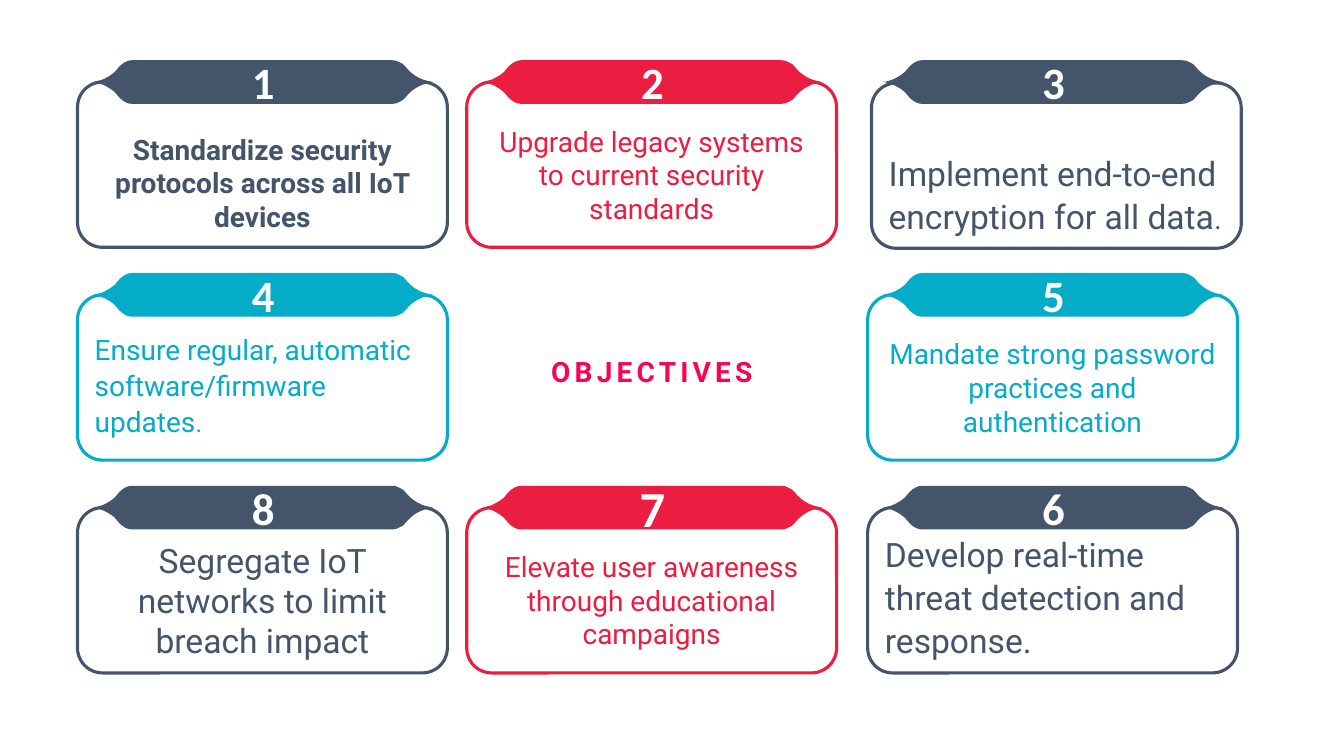
import lxml.etree
import pptx
import pptx.util
import pptx.dml.color
import pptx.enum.shapes
import pptx.enum.text
import pptx.oxml.ns

Pt = pptx.util.Pt
RGB = pptx.dml.color.RGBColor
ALIGN = pptx.enum.text.PP_ALIGN
ANCHOR = pptx.enum.text.MSO_ANCHOR
qn = pptx.oxml.ns.qn

SLATE = RGB(0x44, 0x54, 0x6A)
RED = RGB(0xEB, 0x1E, 0x42)
TEAL = RGB(0x05, 0xAC, 0xC7)
PINK = RGB(0xFC, 0x03, 0x50)
WHITE = RGB(0xFF, 0xFF, 0xFF)

# Grid of cards
COLS = (55.4, 333.4, 619.8)
TOP, STEP = 58.6, 152
WIDE, HIGH = 264.2, 118.1

# Upper edge of a banner, from left tip to right tip: lines and curves
TIP = (0, 15.6)
EDGE = (
    ((6, 14.6), (11, 12), (15, 8.6)),
    ((18.7, 4.3),),
    ((21.4, 1.7), (24.3, 0), (27.5, 0)),
    ((213, 0),),
    ((215.3, 0), (217, 0.4), (218.2, 1.3)),
    ((220.5, 2), (222, 3.4), (223, 4.8)),
    ((227.5, 10.5), (234, 14.5), (242.6, 15.6)),
)

# Number, column, row, colour, runs, centred, top and bottom inset, bold
CARDS = (
    (1, 0, 0, SLATE, [("Standardize security protocols across all IoT devices", 20)],
     True, (5, 5), True),
    (4, 0, 1, TEAL, [("Ensure regular, automatic software/firmware updates", 20), (".", 18)],
     False, (3.6, 10.8), False),
    (8, 0, 2, SLATE, [("Segregate IoT networks to limit breach impact", 24)],
     True, (3.6, 3.6), False),
    (2, 1, 0, RED, [("Upgrade legacy systems to current security standards", 20)],
     True, (3.6, 10.8), False),
    (7, 1, 2, RED, [("Elevate user awareness through educational campaigns", 20)],
     True, (3.6, 10.8), False),
    (3, 2, 0, SLATE, [("Implement end-to-end encryption for all data", 24), (".", 20)],
     False, (3.6, 3.6), False),
    (5, 2, 1, TEAL, [("Mandate strong password practices and authentication", 20)],
     True, (3.6, 10.8), False),
    (6, 2, 2, SLATE, [("Develop real-time threat detection and response.", 24)],
     False, (3.6, 3.6), False),
)
OPEN = (1, 3, 6, 8)
NUDGE = {3: (2.7, 0.7)}
LARGE = {7: 36}


def add_run(para, text, size, color, face="Roboto", bold=False):
    run = para.add_run()
    run.text = text
    font = run.font
    font.name, font.size, font.bold = face, Pt(size), bold
    font.color.rgb = color
    return run


def add_round(slide, left, top, wide, high, filled=True):
    kind = pptx.enum.shapes.MSO_SHAPE.ROUNDED_RECTANGLE
    shape = slide.shapes.add_shape(kind, Pt(left), Pt(top), Pt(wide), Pt(high))
    shape.shadow.inherit = False
    if filled:
        shape.fill.solid()
        shape.fill.fore_color.rgb = WHITE
    else:
        shape.fill.background()
    shape.line.fill.background()
    return shape


def add_card(slide, left, top, filled, color, runs, center, pads, bold):
    card = add_round(slide, left, top, WIDE, HIGH, filled)
    card.adjustments[0] = 0.151
    card.line.color.rgb = color
    card.line.width = Pt(2.25)
    frame = card.text_frame
    frame.word_wrap = True
    frame.vertical_anchor = ANCHOR.BOTTOM
    frame.margin_top, frame.margin_bottom = Pt(pads[0]), Pt(pads[1])
    para = frame.paragraphs[0]
    para.alignment = ALIGN.CENTER if center else ALIGN.LEFT
    if not center:
        para.line_spacing = 1.07
        para.space_after = Pt(8)
    for text, size in runs:
        add_run(para, text, size, color, bold=bold)


def outline():
    """Return the segments of the upper edge, then of its mirrored lower edge."""
    starts = [TIP] + [part[-1] for part in EDGE[:-1]]
    lower = []
    for start, part in reversed(list(zip(starts, EDGE))):
        back = part[-2::-1] + (start,) if len(part) > 1 else (start,)
        lower.append(tuple((x, 2 * TIP[1] - y) for x, y in back))
    return list(EDGE) + lower


def add_banner(slide, left, top, color, label, size):
    parts = outline()
    dots = [(Pt(x), Pt(y)) for part in parts for x, y in part]
    draft = slide.shapes.build_freeform(Pt(TIP[0]), Pt(TIP[1]))
    draft.add_line_segments(dots, close=True)
    banner = draft.convert_to_shape(Pt(left), Pt(top))
    # Join each three points of a curve into one Bezier segment
    lines = iter(list(banner._element.iter(qn("a:lnTo"))))
    for part in parts:
        group = [next(lines) for _ in part]
        if len(group) == 3:
            curve = lxml.etree.Element(qn("a:cubicBezTo"))
            group[0].addprevious(curve)
            for line in group:
                curve.append(line[0])
                line.getparent().remove(line)
    banner.shadow.inherit = False
    banner.fill.solid()
    banner.fill.fore_color.rgb = color
    banner.line.fill.background()
    frame = banner.text_frame
    frame.vertical_anchor = ANCHOR.MIDDLE
    para = frame.paragraphs[0]
    para.alignment = ALIGN.CENTER
    add_run(para, label, size, WHITE, "Calibri", True)


def set_title(slide, text):
    title = slide.shapes.title
    title.left, title.top = Pt(372.2), Pt(223.9)
    title.width, title.height = Pt(219.6), Pt(71.3)
    frame = title.text_frame
    frame.auto_size = pptx.enum.text.MSO_AUTO_SIZE.NONE
    frame.word_wrap = True
    frame.vertical_anchor = ANCHOR.MIDDLE
    frame.margin_left, frame.margin_top = Pt(21.5), Pt(14.6)
    para = frame.paragraphs[0]
    para.alignment = ALIGN.LEFT
    run = add_run(para, text, 20, PINK, bold=True)
    run.font._element.set("spc", "300")
    # Bring the heading in front of its plate
    slide.shapes._spTree.append(title._element)


def main():
    deck = pptx.Presentation()
    deck.slide_width, deck.slide_height = Pt(960), Pt(540)
    slide = deck.slides.add_slide(deck.slide_layouts[5])

    # Numbered cards
    for num, col, row, color, runs, center, pads, bold in CARDS:
        left, top = COLS[col], TOP + row * STEP
        dx, dy = NUDGE.get(num, (0, 0))
        add_card(slide, left + dx, top + dy, num not in OPEN,
                 color, runs, center, pads, bold)
        add_banner(slide, left + 11.4, top - TIP[1], color, str(num), LARGE.get(num, 32))

    # Centre heading on its plate
    add_round(slide, 364.3, 234, 211, 61.9)
    set_title(slide, "OBJECTIVES")

    deck.save("out.pptx")


if __name__ == "__main__":
    main()
